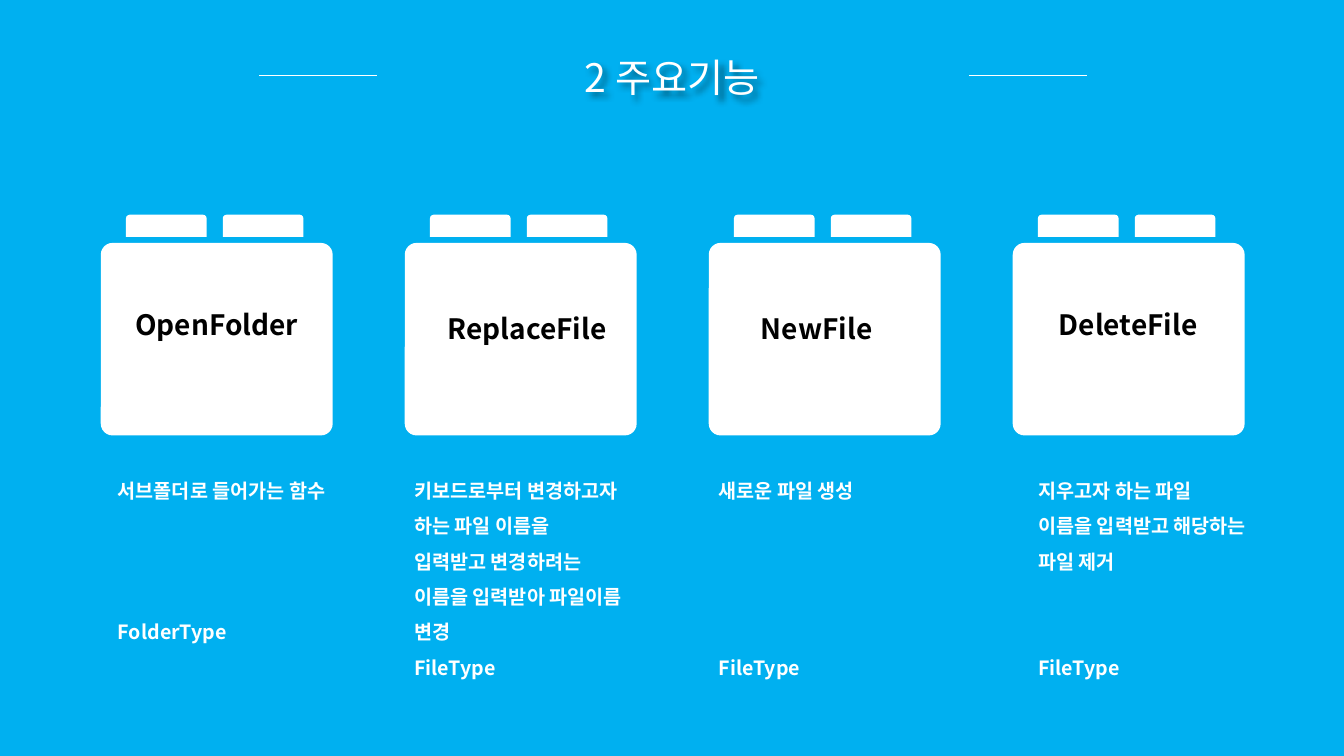
from dataclasses import dataclass

import pptx
from lxml import etree
from pptx.dml.color import RGBColor
from pptx.enum.shapes import MSO_CONNECTOR, MSO_SHAPE
from pptx.enum.text import MSO_ANCHOR, PP_ALIGN
from pptx.oxml import parse_xml
from pptx.oxml.ns import qn
from pptx.util import Inches, Pt


@dataclass(frozen=True)
class Theme:
    sky: RGBColor = RGBColor(0x00, 0xB0, 0xF0)
    white: RGBColor = RGBColor(0xFF, 0xFF, 0xFF)
    black: RGBColor = RGBColor(0x00, 0x00, 0x00)
    font: str = "Noto Sans CJK KR"
    title: int = 28
    heading: int = 20
    body: int = 14


THEME = Theme()


def write(box, lines, size, color, pitch, bold=True, align=PP_ALIGN.LEFT):
    """Fill a text box, one paragraph a line, with a fixed line pitch in points."""
    frame = box.text_frame
    frame.word_wrap = True
    frame.vertical_anchor = MSO_ANCHOR.TOP
    frame.text = "\n".join(lines)
    for paragraph in frame.paragraphs:
        paragraph.alignment = align
        paragraph.line_spacing = Pt(pitch)
        for run in paragraph.runs:
            run.font.size = Pt(size)
            run.font.bold = bold
            run.font.name = THEME.font
            run.font.color.rgb = color
            east_asian = etree.SubElement(run.font._element, qn("a:ea"))
            east_asian.set("typeface", THEME.font)


def add_white_shape(group, preset, left, top, width, height):
    shape = group.shapes.add_shape(
        preset, Inches(left), Inches(top), Inches(width), Inches(height))
    shape.shadow.inherit = False
    shape.fill.solid()
    shape.fill.fore_color.rgb = THEME.white
    shape.line.fill.background()
    return shape


deck = pptx.Presentation()
deck.slide_width, deck.slide_height = Inches(13.33), Inches(7.5)
slide = deck.slides.add_slide(deck.slide_layouts[5])
slide.background.fill.solid()
slide.background.fill.fore_color.rgb = THEME.sky

# Title with a soft shadow, between two thin rules
title = slide.shapes.title
title.left, title.top = Inches(0), Inches(0.45)
title.width, title.height = Inches(13.33), Inches(0.57)
write(title, ["2 주요기능"], THEME.title, THEME.white, 36,
      bold=False, align=PP_ALIGN.CENTER)
title._element.spPr.append(parse_xml(
    '<a:effectLst xmlns:a="http://schemas.openxmlformats.org/drawingml/2006/main">'
    '<a:outerShdw blurRad="38100" dist="38100" dir="2700000" algn="tl">'
    '<a:srgbClr val="000000"><a:alpha val="43000"/></a:srgbClr>'
    '</a:outerShdw></a:effectLst>'))

for rule_left in (2.57, 9.61):
    rule = slide.shapes.add_connector(
        MSO_CONNECTOR.STRAIGHT, Inches(rule_left), Inches(0.75),
        Inches(rule_left + 1.17), Inches(0.75))
    rule.line.color.rgb = THEME.white
    rule.line.width = Pt(0.5)
    etree.SubElement(rule._element.spPr, qn("a:effectLst"))

# Function cards: name, (left, top, width) of the name, left of the details,
# description, data type, lines left open between the two
CARD_LEFT, CARD_STEP, CARD_WIDTH = 1.0, 3.015, 2.3
BODY_PITCH = 25.3
functions = [
    ("OpenFolder", (1.0, 2.99, 2.3), 1.07,
     "서브폴더로 들어가는 함수", "FolderType", 3),
    ("ReplaceFile", (3.95, 3.03, 2.56), 4.01,
     "키보드로부터 변경하고자 하는 파일 이름을 입력받고 변경하려는 "
     "이름을 입력받아 파일이름 변경", "FileType", 0),
    ("NewFile", (6.82, 3.03, 2.56), 7.03,
     "새로운 파일 생성", "FileType", 4),
    ("DeleteFile", (10.04, 2.99, 2.3), 10.2,
     "지우고자 하는 파일 이름을 입력받고 해당하는 파일 제거", "FileType", 2),
]

for index, (name, name_place, details_left, description, data_type,
            open_lines) in enumerate(functions):
    left = CARD_LEFT + index * CARD_STEP
    card = slide.shapes.add_group_shape()
    body = add_white_shape(card, MSO_SHAPE.ROUNDED_RECTANGLE,
                           left, 2.41, CARD_WIDTH, 1.91)
    body.adjustments[0] = 0.061
    for tab_offset in (0.25, 1.21):
        add_white_shape(card, MSO_SHAPE.ROUND_2_SAME_RECTANGLE,
                        left + tab_offset, 2.13, 0.8, 0.22)

    name_left, name_top, name_width = name_place
    heading = slide.shapes.add_textbox(
        Inches(name_left), Inches(name_top), Inches(name_width), Inches(0.44))
    write(heading, [name], THEME.heading, THEME.black, 25, align=PP_ALIGN.CENTER)

    details = slide.shapes.add_textbox(
        Inches(details_left), Inches(4.58), Inches(CARD_WIDTH), Inches(2.18))
    write(details, [description, data_type], THEME.body, THEME.white, BODY_PITCH)
    details.text_frame.paragraphs[1].space_before = Pt(open_lines * BODY_PITCH)

deck.save("out.pptx")
